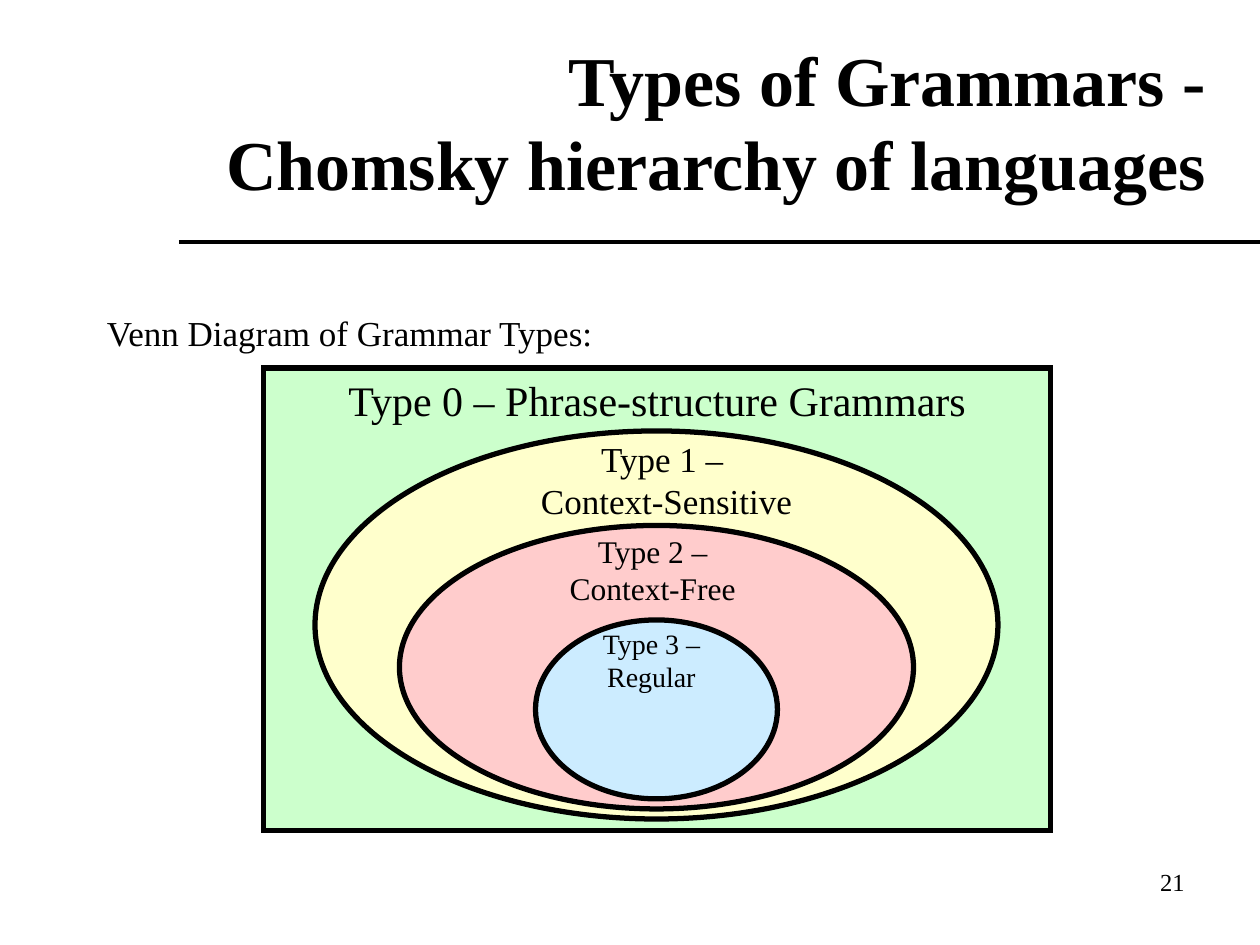
from lxml import etree
from pptx import Presentation
from pptx import util as u
from pptx.dml.color import RGBColor
from pptx.enum import shapes, text
from pptx.oxml.ns import qn

FONT = "Times New Roman"
BLACK = "000000"
CENTER_X = 5.21
FIRST_TOP, TOP_STEP = 3.42, 0.75
# width, height, fill, label, label centre, label size in points
NESTED_TYPES = [
    (5.42, 3.08, "FFFFCC", "Type 1 – \vContext-Sensitive", 5.29, 20),
    (4.08, 2.25, "FFCCCC", "Type 2 –\vContext-Free", 5.18, 18),
    (1.92, 1.42, "CCECFF", "Type 3 –\vRegular", 5.17, 16),
]


def color(value):
    return RGBColor.from_string(value)


def inches(*lengths):
    return [u.Inches(length) for length in lengths]


def write(shape, words, size, align, wrap=True, bold=False,
          anchor=text.MSO_ANCHOR.TOP):
    frame = shape.text_frame
    frame.word_wrap = wrap
    frame.vertical_anchor = anchor
    paragraph = frame.paragraphs[0]
    paragraph.text = words
    paragraph.alignment = align
    font_format = {"name": FONT, "size": u.Pt(size), "bold": bold}
    for run in paragraph.runs:
        for name, value in font_format.items():
            setattr(run.font, name, value)
        run.font.color.rgb = color(BLACK)
    return paragraph


def add_label(slide, box, words, size, align, **options):
    shape = slide.shapes.add_textbox(*inches(*box))
    return write(shape, words, size, align, **options)


def add_region(slide, kind, box, fill):
    """Add one outlined set of the Venn diagram, with sharp corners."""
    shape = slide.shapes.add_shape(kind, *inches(*box))
    shape.shadow.inherit = False
    shape.fill.solid()
    shape.fill.fore_color.rgb = color(fill)
    shape.line.color.rgb = color(BLACK)
    shape.line.width = u.Pt(3)
    outline = shape.element.spPr.find(qn("a:ln"))
    etree.SubElement(outline, qn("a:miter"), lim="800000")
    return shape


def add_rule(slide, left, right, y):
    rule = slide.shapes.add_connector(
        shapes.MSO_CONNECTOR.STRAIGHT, *inches(left, y, right, y))
    rule.line.color.rgb = color(BLACK)
    rule.line.width = u.Pt(2.25)
    etree.SubElement(rule.element.spPr, qn("a:effectLst"))


def add_venn_diagram(slide):
    universe = add_region(slide, shapes.MSO_SHAPE.RECTANGLE,
                          (2.09, 2.92, 6.25, 3.67), "CCFFCC")
    write(universe, "Type 0 – Phrase-structure Grammars", 24,
          text.PP_ALIGN.CENTER, wrap=False)
    for level, (width, height, fill, words, label_x, size) in enumerate(NESTED_TYPES):
        top = FIRST_TOP + level * TOP_STEP
        add_region(slide, shapes.MSO_SHAPE.OVAL,
                   (CENTER_X - width / 2, top, width, height), fill)
        label_width = 2.25 - 0.6 * level
        label_height = 0.77 - 0.07 * level
        add_label(slide, (label_x - label_width / 2, top, label_width, label_height),
                  words, size, text.PP_ALIGN.CENTER, wrap=False)


def main():
    presentation = Presentation()
    presentation.slide_width, presentation.slide_height = inches(10, 7.5)
    slide = presentation.slides.add_slide(presentation.slide_layouts[6])

    add_rule(slide, 1.42, 10, 1.92)
    add_label(slide, (1.17, 0.33, 8.5, 1.25),
              "Types of Grammars -\v Chomsky hierarchy of languages", 40,
              text.PP_ALIGN.RIGHT, bold=True, anchor=text.MSO_ANCHOR.MIDDLE)
    intro = add_label(slide, (0.75, 2.42, 8.5, 4.5),
                      "Venn Diagram of Grammar Types:", 20, text.PP_ALIGN.LEFT)
    intro.space_before = u.Pt(5)
    add_venn_diagram(slide)
    add_label(slide, (7.17, 6.83, 2.33, 0.52), "21", 14, text.PP_ALIGN.RIGHT)

    presentation.save("out.pptx")


if __name__ == "__main__":
    main()
